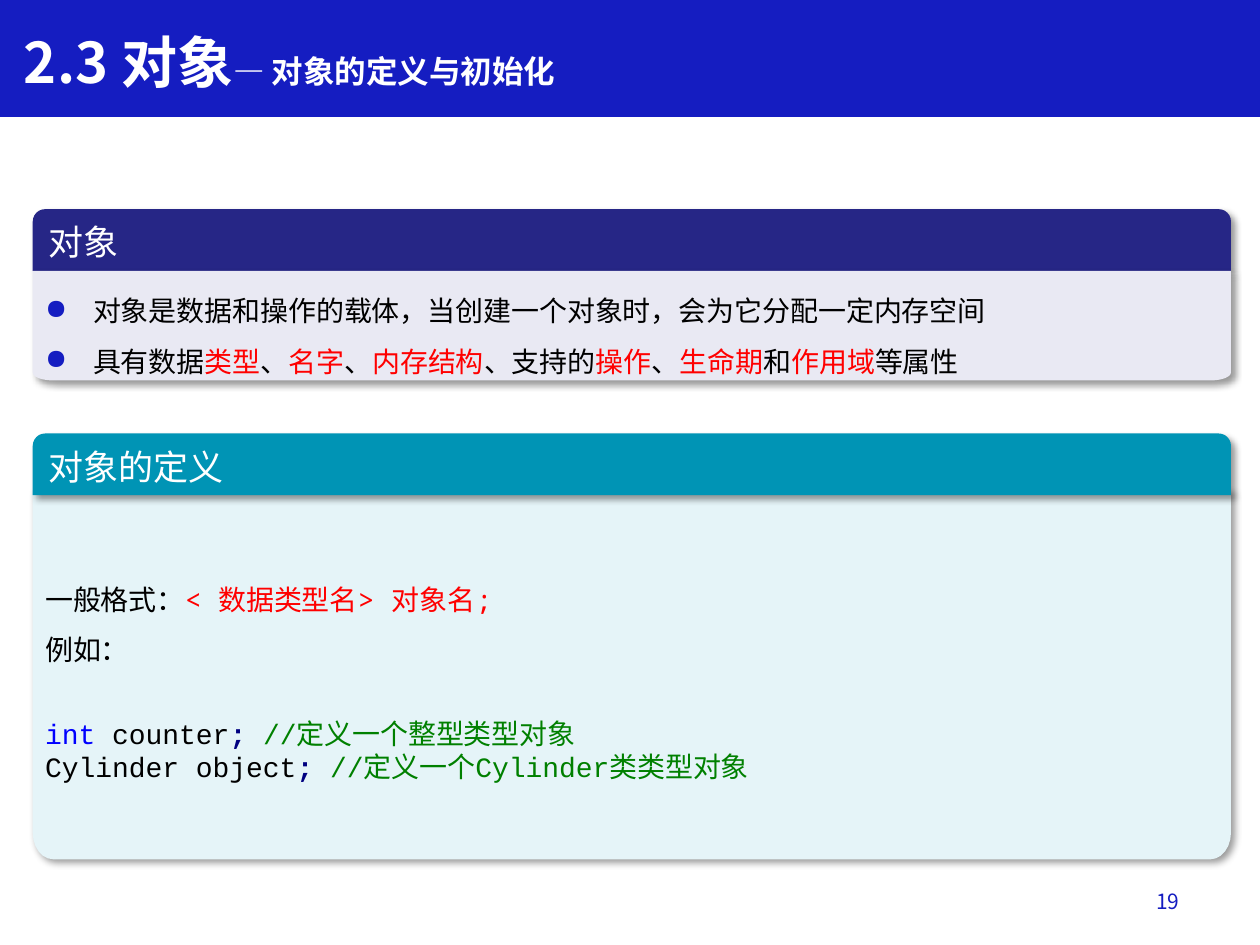
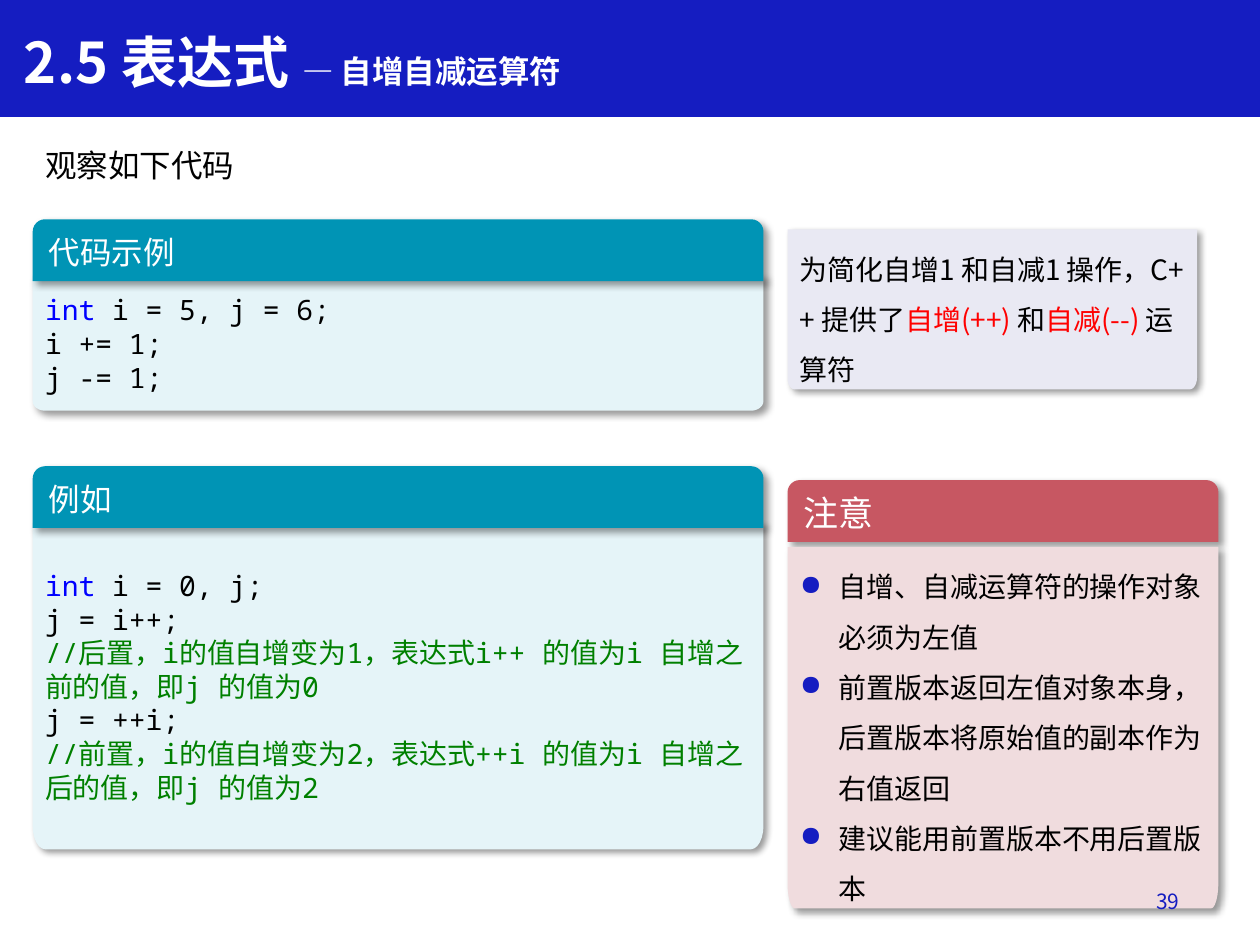
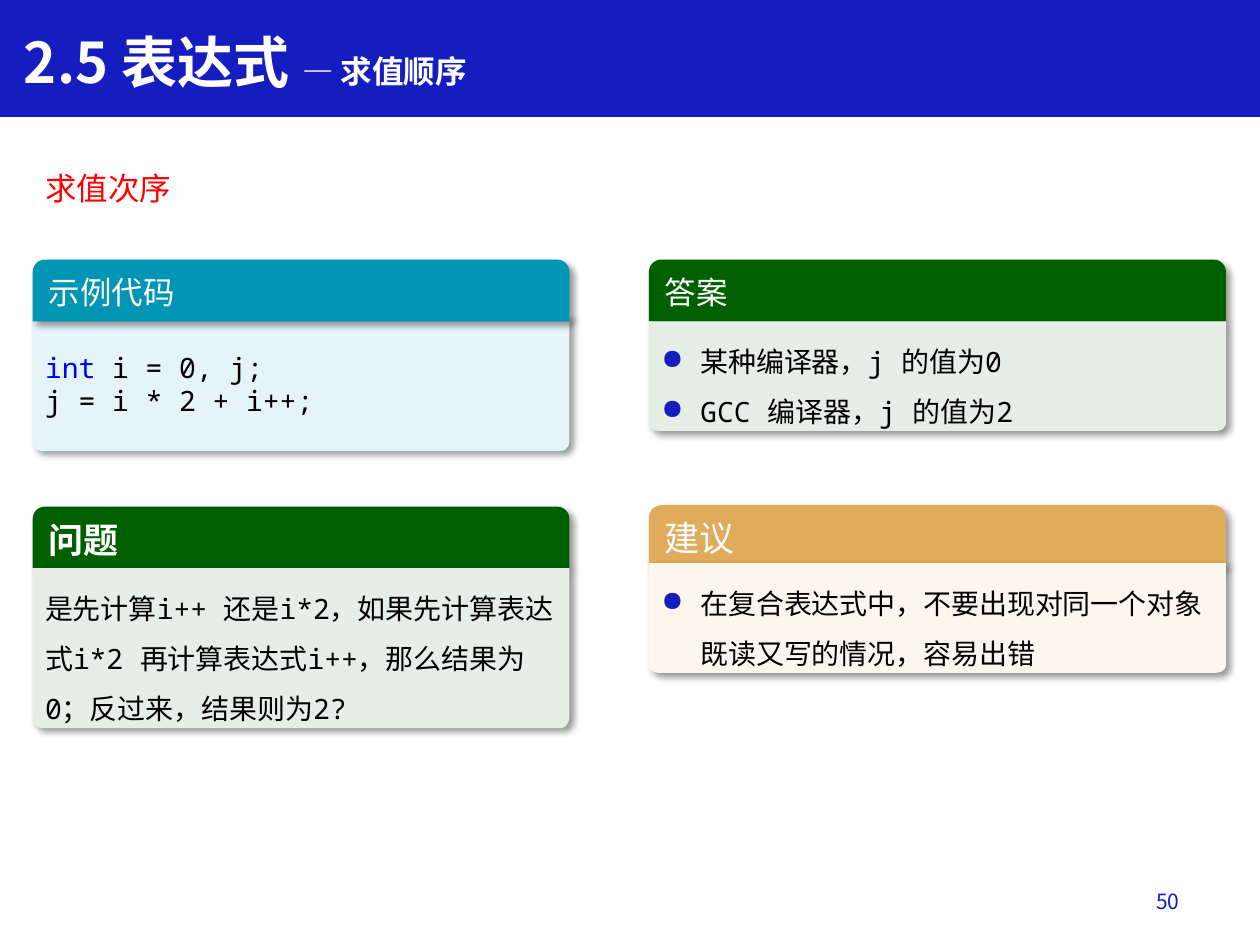
from collections import namedtuple
from math import cos, pi, sin

from lxml import etree
from pptx import Presentation
from pptx.dml.color import RGBColor
from pptx.enum.shapes import MSO_SHAPE
from pptx.enum.text import MSO_ANCHOR, PP_ALIGN
from pptx.oxml.ns import qn
from pptx.util import Inches, Pt

RECT, TAB = MSO_SHAPE.RECTANGLE, MSO_SHAPE.ROUND_2_SAME_RECTANGLE
TOP, MID = MSO_ANCHOR.TOP, MSO_ANCHOR.MIDDLE
LEFT, RIGHT = PP_ALIGN.LEFT, PP_ALIGN.RIGHT

Style = namedtuple("Style", "font size color lead dent bold", defaults=(1, 0, False))
Kind = namedtuple("Kind", "head body gap anchor", defaults=(0, TOP))


# Theme: colours, text styles and panel kinds
class Theme:
    blue, white, black = "151DC1", "FFFFFF", "000000"
    red, word, mark, note = "FF0000", "0000FF", "000080", "008000"
    sans, mono, type = "Noto Sans CJK SC", "Noto Sans Mono", "Courier New"
    title = Style(sans, 32, white, bold=True)
    sub = 18
    head = Style(sans, 20, white)
    small = Style(sans, 18, white)
    strong = Style(sans, 20, white, bold=True)
    lead = Style(sans, 18, black)
    page = Style(sans, 12, blue)
    text = Style(mono, 16, black, 1.5)
    plain = Style(sans, 16, black, 1.5)
    wide_dot = Style(mono, 16, black, 1.5, 0.38)
    dot = Style(mono, 16, black, 1.5, 0.31)
    plain_dot = Style(sans, 16, black, 1.5, 0.31)
    code = Style(mono, 16, black)
    typed = Style(type, 16, black)
    indigo = Kind("262686", "E9E9F3")
    teal = Kind("0094B5", "E5F4F8", -0.04, MID)
    rose = Kind("C75762", "F0DCDE", 0.04)
    green = Kind("006000", "E5EFE5")
    sand = Kind("E0AB5B", "FCF6EE", -0.03)


T = Theme

# Grid: columns are (left, width); a body is ROW tall per line of text
W, H = 10, 7.5
EDGE = 0.26
FULL, MAIN, SIDE = (EDGE, 9.51), (EDGE, 5.8), (6.25, 3.42)
HALF, OTHER = (EDGE, 4.26), (5.15, 4.58)
BAND, TAB_H, ROW, PAD = 0.92, 0.49, 0.4, 0.07


def write(shape, lines, anchor=TOP, align=LEFT):
    """Fill a shape with (style, run, run, ...) lines; a run is text or (text, colour)."""
    frame = shape.text_frame
    frame.word_wrap, frame.vertical_anchor = True, anchor
    for i, (style, *runs) in enumerate(lines):
        para = frame.paragraphs[0] if i == 0 else frame.add_paragraph()
        para.alignment, para.line_spacing = align, style.lead
        props = para._p.get_or_add_pPr()
        if style.dent:
            dent = Inches(style.dent)
            props.set("marL", str(dent))
            props.set("indent", str(-dent))
            tint = etree.SubElement(props, qn("a:buClr"))
            etree.SubElement(tint, qn("a:srgbClr"), val=T.blue)
            etree.SubElement(props, qn("a:buChar"), char="●")
        font = para.font
        font.name, font.size, font.bold = style.font, Pt(style.size), style.bold
        font.color.rgb = RGBColor.from_string(style.color)
        etree.SubElement(props.find(qn("a:defRPr")), qn("a:ea"), typeface=T.sans)
        for item in runs:
            text, color = (item, None) if isinstance(item, str) else item
            run = para.add_run()
            run.text = text
            if color:
                run.font.color.rgb = RGBColor.from_string(color)
            if color == T.mark:
                run.font.bold = True


def panel(slide, kind, col, top, rows, lines, head=None):
    """Draw a body with round lower corners, and a tab above it if there is a head."""
    x, w = col
    h = PAD + ROW * rows
    y = top + TAB_H + kind.gap if head else top
    rx, ry = 0.017 * w, 0.072 * h
    turns = [k * pi / 12 for k in range(7)]
    curve = [(x + w - rx + rx * cos(t), y + h - ry + ry * sin(t)) for t in turns]
    curve += [(x + rx - rx * sin(t), y + h - ry + ry * cos(t)) for t in turns]
    path = slide.shapes.build_freeform(Inches(x), Inches(y))
    path.add_line_segments([(Inches(a), Inches(b)) for a, b in [(x + w, y)] + curve])
    body = path.convert_to_shape()
    write(body, lines, kind.anchor)
    parts = [(body, kind.body)]
    if head:
        tab = slide.shapes.add_shape(TAB, Inches(x), Inches(top), Inches(w), Inches(TAB_H))
        tab.adjustments[0] = 0.2
        write(tab, [head], MID)
        parts.append((tab, kind.head))
        if kind.gap >= 0 or kind is T.sand:
            tab.element.addnext(body.element)
    for shape, color in parts:
        shape.fill.solid()
        shape.fill.fore_color.rgb = RGBColor.from_string(color)
        shape.line.fill.background()
        shape.shadow.inherit = False
        cast = etree.SubElement(
            shape.element.spPr.find(qn("a:effectLst")), qn("a:outerShdw"),
            blurRad=str(Pt(4)), dist=str(Pt(3)), dir="2700000", algn="tl", rotWithShape="0")
        shade = etree.SubElement(cast, qn("a:srgbClr"), val=T.black)
        etree.SubElement(shade, qn("a:alpha"), val="40000")


deck = Presentation()
deck.slide_width, deck.slide_height = Inches(W), Inches(H)
plan = deck.slide_layouts[5]

# Titles and page numbers
pages = []
for name, topic, number in [
    ("2.3 对象", "— 对象的定义与初始化", "19"),
    ("2.5 表达式 ", "— 自增自减运算符", "39"),
    ("2.5 表达式 ", "— 求值顺序", "50"),
]:
    slide = deck.slides.add_slide(plan)
    title = slide.shapes.title
    title.left, title.top = Inches(0.09), Inches(0.17)
    title.width, title.height = Inches(6.71), Inches(0.64)
    write(title, [(T.title, name, topic)])
    title.text_frame.paragraphs[0].runs[1].font.size = Pt(T.sub)
    box = slide.shapes.add_textbox(Inches(7.21), Inches(6.95), Inches(2.25), Inches(0.4))
    write(box, [(T.page, number)], MID, RIGHT)
    pages.append(slide)
first, second, third = pages

# Title band, shared through the layout
band = first.shapes.add_shape(RECT, 0, 0, Inches(W), Inches(BAND))
band.shadow.inherit = False
band.fill.solid()
band.fill.fore_color.rgb = band.line.color.rgb = RGBColor.from_string(T.blue)
band.line.width = Pt(1)
band.element.nvSpPr.cNvPr.id = 99
plan.shapes.element.insert(2, band.element)

# Lead lines
for slide, top, text, color in [
    (second, 1.11, "观察如下代码", T.black),
    (third, 1.29, "求值次序", T.red),
]:
    box = slide.shapes.add_textbox(Inches(EDGE), Inches(top), Inches(2), Inches(0.4))
    write(box, [(T.lead, (text, color))])

# Slide 1: objects and how to define them
panel(first, T.indigo, FULL, 1.66, 2, [
    (T.wide_dot, "对象是数据和操作的载体，当创建一个对象时，会为它分配一定内存空间"),
    (T.wide_dot, "具有数据", ("类型", T.red), "、", ("名字", T.red), "、",
     ("内存结构", T.red), "、支持的", ("操作", T.red), "、", ("生命期", T.red),
     "和", ("作用域", T.red), "等属性"),
], (T.head, "对象"))
panel(first, T.teal, FULL, 3.44, 7.15, [
    (T.text, "一般格式：", ("< 数据类型名> 对象名;", T.red)),
    (T.text, "例如："),
    (T.typed, ("int", T.word), " counter", (";", T.mark), " ",
     ("//定义一个整型类型对象", T.note)),
    (T.typed, "Cylinder object", (";", T.mark), " ",
     ("//定义一个Cylinder类类型对象", T.note)),
], (T.head, "对象的定义"))
body = first.shapes[-2]
body.text_frame.paragraphs[2].space_before = Pt(28.5)

# Slide 2: increment and decrement
panel(second, T.indigo, (SIDE[0], 3.25), 1.82, 3, [
    (T.plain, "为简化自增1 和自减1 操作，C++ 提供了", ("自增(++) ", T.red), "和",
     ("自减(--) ", T.red), "运算符"),
])
panel(second, T.teal, MAIN, 1.74, 2.5, [
    (T.code, ("int ", T.word), "i = 5, j = 6;"),
    (T.code, "i += 1;"),
    (T.code, "j -= 1;"),
], (T.small, "代码示例"))
panel(second, T.rose, SIDE, 3.81, 7, [
    (T.plain_dot, "自增、自减运算符的操作对象必须为左值"),
    (T.plain_dot, "前置版本返回左值对象本身，后置版本将原始值的副本作为右值返回"),
    (T.plain_dot, "建议能用前置版本不用后置版本"),
], (T.head, "注意"))
panel(second, T.teal, MAIN, 3.7, 6.3, [
    (T.code, ("int ", T.word), "i = 0, j;"),
    (T.code, "j = i++;"),
    (T.code, ("//后置，i的值自增变为1，表达式i++ 的值为i 自增之", T.note)),
    (T.code, ("前的值，即j 的值为0", T.note)),
    (T.code, "j = ++i;"),
    (T.code, ("//前置，i的值自增变为2，表达式++i 的值为i 自增之", T.note)),
    (T.code, ("后的值，即j 的值为2", T.note)),
], (T.small, "例如"))
second.shapes.element.append(second.shapes[1].element)

# Slide 3: order of evaluation
panel(third, T.teal, HALF, 2.06, 2.5, [
    (T.code, ("int ", T.word), "i = 0, j;"),
    (T.code, "j = i * 2 + i++;"),
], (T.small, "示例代码"))
panel(third, T.green, HALF, 4.02, 3, [
    (T.text, "是先计算i++ 还是i*2，如果先计算表达式i*2 再计算表达式i++，"
     "那么结果为0；反过来，结果则为2?"),
], (T.strong, "问题"))
panel(third, T.green, OTHER, 2.06, 2, [
    (T.dot, "某种编译器，j 的值为0"),
    (T.dot, "GCC 编译器，j 的值为2"),
], (T.small, "答案"))
panel(third, T.sand, OTHER, 4.01, 2, [
    (T.dot, "在复合表达式中，不要出现对同一个对象既读又写的情况，容易出错"),
], (T.head, "建议"))

deck.save("out.pptx")
